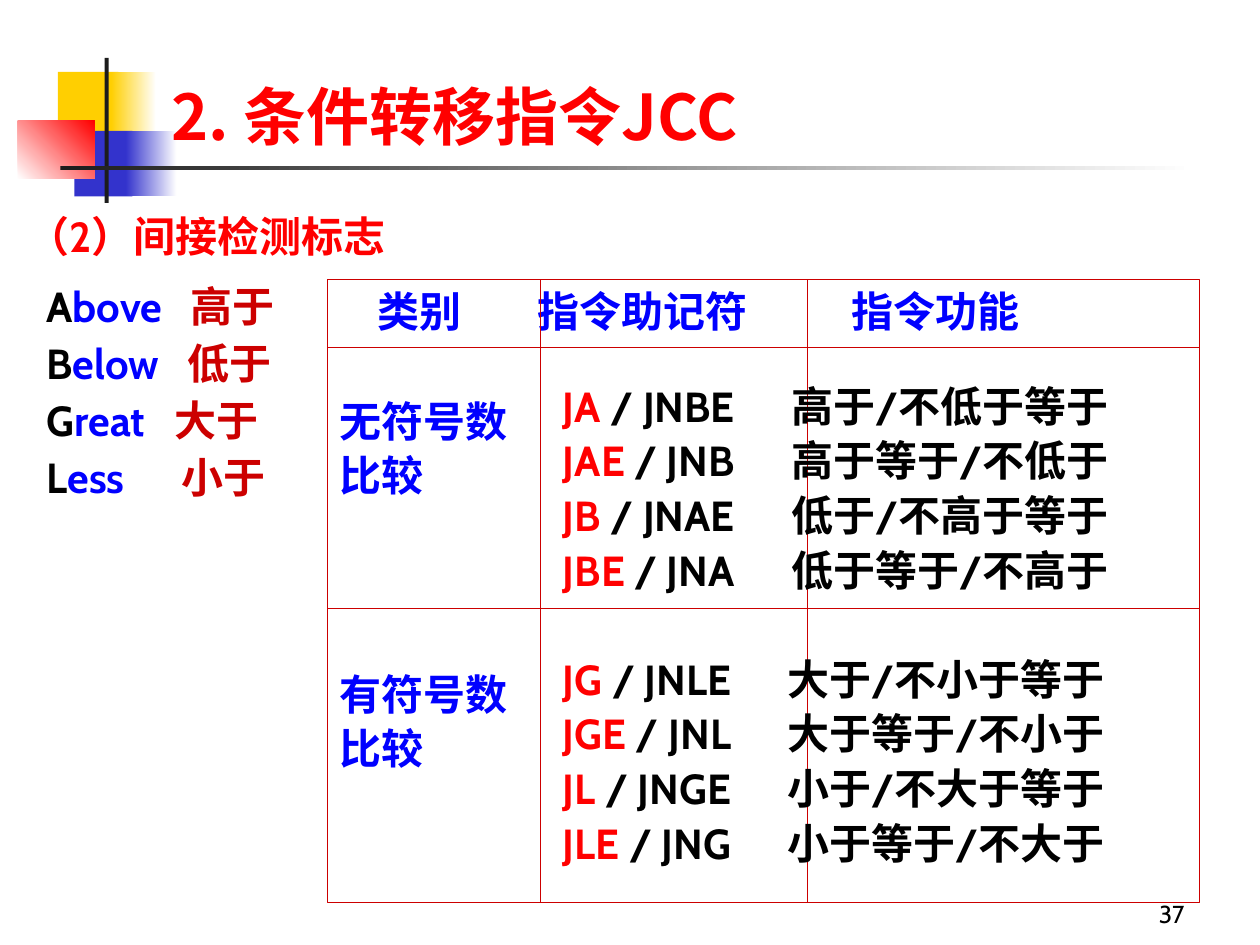
from lxml.etree import SubElement
from pptx import Presentation
from pptx.dml.color import RGBColor
from pptx.enum.shapes import MSO_CONNECTOR as Connector, MSO_SHAPE as Shape
from pptx.enum.text import MSO_ANCHOR as Anchor, PP_ALIGN as Align
from pptx.oxml.ns import qn
from pptx.util import Cm, Pt

RED, DARK_RED, BLUE, BLACK = "FF0000", "CC0000", "0000FF", "000000"
YELLOW, INDIGO, CHARCOAL, WHITE = "FFCF01", "3333CC", "1C1C1C", "FFFFFF"
LINE_PITCH = 31.2  # points from one table text line to the next
LINE_GAP = 2.4

# Content
TITLE = "2. 条件转移指令JCC"
SUBTITLE = "（2）间接检测标志"
PAGE_NUMBER = "37"
HEADER = ("类别", "指令助记符", "指令功能")
HEADER_TABS = (0.76, 3.99, 10.31)
# Category lines, each with the number of text lines skipped above it
CATEGORIES = [("无符号数", 1), ("比较", 0), ("有符号数", 3), ("比较", 0)]
# Letter, rest of word, meaning, tab position
LETTERS = [
    ("A", "bove", "高于", 2.9),
    ("B", "elow", "低于", 2.84),
    ("G", "reat", "大于", 2.57),
    ("L", "ess", "小于", 2.72),
]
# Tab position and mnemonic, alias, meaning for each comparison group
INSTRUCTIONS = [
    (4.6, [("JA", "JNBE", "高于/不低于等于"), ("JAE", "JNB", "高于等于/不低于"),
           ("JB", "JNAE", "低于/不高于等于"), ("JBE", "JNA", "低于等于/不高于")]),
    (4.52, [("JG", "JNLE", "大于/不小于等于"), ("JGE", "JNL", "大于等于/不小于"),
            ("JL", "JNGE", "小于/不大于等于"), ("JLE", "JNG", "小于等于/不大于")]),
]
# Left, top, width, height, colours (two make a gradient), angle
ORNAMENTS = [
    (1.17, 1.45, 1.22, 1.32, [YELLOW], 0),
    (2.24, 1.45, 0.91, 1.32, [YELLOW, WHITE], 0),
    (1.5, 2.64, 1.17, 1.32, [INDIGO], 0),
    (2.54, 2.64, 1.02, 1.32, [INDIGO, WHITE], 0),
    (0.36, 2.44, 1.55, 1.17, [WHITE, RED], 45),
    (2.11, 1.17, 0.08, 2.92, [CHARCOAL], 0),
    (1.22, 3.35, 22.86, 0.08, [CHARCOAL, WHITE], 0),
]
GRID_LEFT, GRID_TOP, GRID_RIGHT, GRID_BOTTOM = 6.6, 5.64, 24.18, 18.19
ROW_LINES, COLUMN_LINES = (7.01, 12.27), (10.9, 16.28)


def color(value):
    return RGBColor.from_string(value)


def add_rectangle(page, left, top, width, height):
    shape = page.shapes.add_shape(Shape.RECTANGLE, Cm(left), Cm(top), Cm(width), Cm(height))
    shape.shadow.inherit = False
    return shape


def add_ornament(page, left, top, width, height, colors, angle):
    shape = add_rectangle(page, left, top, width, height)
    shape.line.fill.background()
    if len(colors) == 1:
        shape.fill.solid()
        shape.fill.fore_color.rgb = color(colors[0])
        return
    shape.fill.gradient()
    shape.fill.gradient_angle = angle
    for stop, value in zip(shape.fill.gradient_stops, colors):
        stop.color.rgb = color(value)


def add_line(page, x1, y1, x2, y2):
    line = page.shapes.add_connector(Connector.STRAIGHT, Cm(x1), Cm(y1), Cm(x2), Cm(y2))
    line.line.color.rgb = color(DARK_RED)
    line.line.width = Pt(0.75)
    SubElement(line._element.spPr, qn("a:effectLst"))


def add_box(page, left, top, width, height):
    box = page.shapes.add_textbox(Cm(left), Cm(top), Cm(width), Cm(height))
    box.text_frame.word_wrap = True
    return box.text_frame


def write(frame, spans, before=0, tabs=(), size=24, bold=True, font="Cabin", align=Align.LEFT):
    """Add a paragraph of (text, colour) spans, filling the first one if unused."""
    first = frame.paragraphs[0]
    para = frame.add_paragraph() if first.runs else first
    para.alignment = align
    para.space_before = Pt(before)
    if tabs:
        tab_list = SubElement(para._p.get_or_add_pPr(), qn("a:tabLst"))
        for position in tabs:
            SubElement(tab_list, qn("a:tab"), pos=str(Cm(position)), algn="l")
    para.font.size, para.font.bold, para.font.name = Pt(size), bold, font
    for text, value in spans:
        span = para.add_run()
        span.text = text
        span.font.color.rgb = color(value)


def main():
    deck = Presentation()
    deck.slide_width, deck.slide_height = Cm(25.4), Cm(19.05)
    page = deck.slides.add_slide(deck.slide_layouts[5])

    # Ornaments
    for ornament in ORNAMENTS:
        add_ornament(page, *ornament)

    # Page number
    frame = add_box(page, 18.85, 17.58, 5.28, 1.27)
    frame.vertical_anchor = Anchor.BOTTOM
    write(frame, [(PAGE_NUMBER, BLACK)], size=14, bold=False, align=Align.RIGHT)

    # Grid with header and categories
    grid = add_rectangle(page, GRID_LEFT, GRID_TOP, GRID_RIGHT - GRID_LEFT, GRID_BOTTOM - GRID_TOP)
    grid.fill.background()
    grid.line.color.rgb = color(DARK_RED)
    grid.line.width = Pt(0.75)
    frame = grid.text_frame
    frame.vertical_anchor = Anchor.TOP
    write(frame, [("\t" + "\t".join(HEADER), BLUE)], tabs=HEADER_TABS)
    for text, skipped in CATEGORIES:
        write(frame, [(text, BLUE)], before=LINE_GAP + skipped * LINE_PITCH)
    for y in ROW_LINES:
        add_line(page, GRID_LEFT, y, GRID_RIGHT, y)
    for x in COLUMN_LINES:
        add_line(page, x, GRID_TOP, x, GRID_BOTTOM)

    # Letter meanings
    frame = add_box(page, 0.51, 5.54, 6.02, 4.83)
    frame.margin_left = Cm(0.43)
    for i, (letter, rest, meaning, tab) in enumerate(LETTERS):
        spans = [(letter, BLACK), (rest + "\t", BLUE), (meaning, DARK_RED)]
        write(frame, spans, before=3.6 if i else 0, tabs=[tab])

    # Instructions
    frame = add_box(page, 11.1, 7.54, 13.03, 10.31)
    before = 0
    for tab, rows in INSTRUCTIONS:
        for mnemonic, alias, meaning in rows:
            spans = [(mnemonic, RED), (f" / {alias}\t{meaning}", BLACK)]
            write(frame, spans, before, [tab])
            before = LINE_GAP
        before = LINE_GAP + LINE_PITCH

    # Subtitle and title, in front of the ornaments
    write(add_box(page, 0.3, 4.11, 11.3, 1.27), [(SUBTITLE, RED)])
    title = page.shapes.title
    title.left, title.top, title.width, title.height = Cm(2.11), Cm(1.42), Cm(20.9), Cm(1.8)
    title.text_frame.margin_left = Cm(1.35)
    title.text_frame.vertical_anchor = Anchor.MIDDLE
    write(title.text_frame, [(TITLE, RED)], size=36, font="Noto Sans CJK JP")
    page.shapes._spTree.append(title._element)

    deck.save("out.pptx")


if __name__ == "__main__":
    main()
